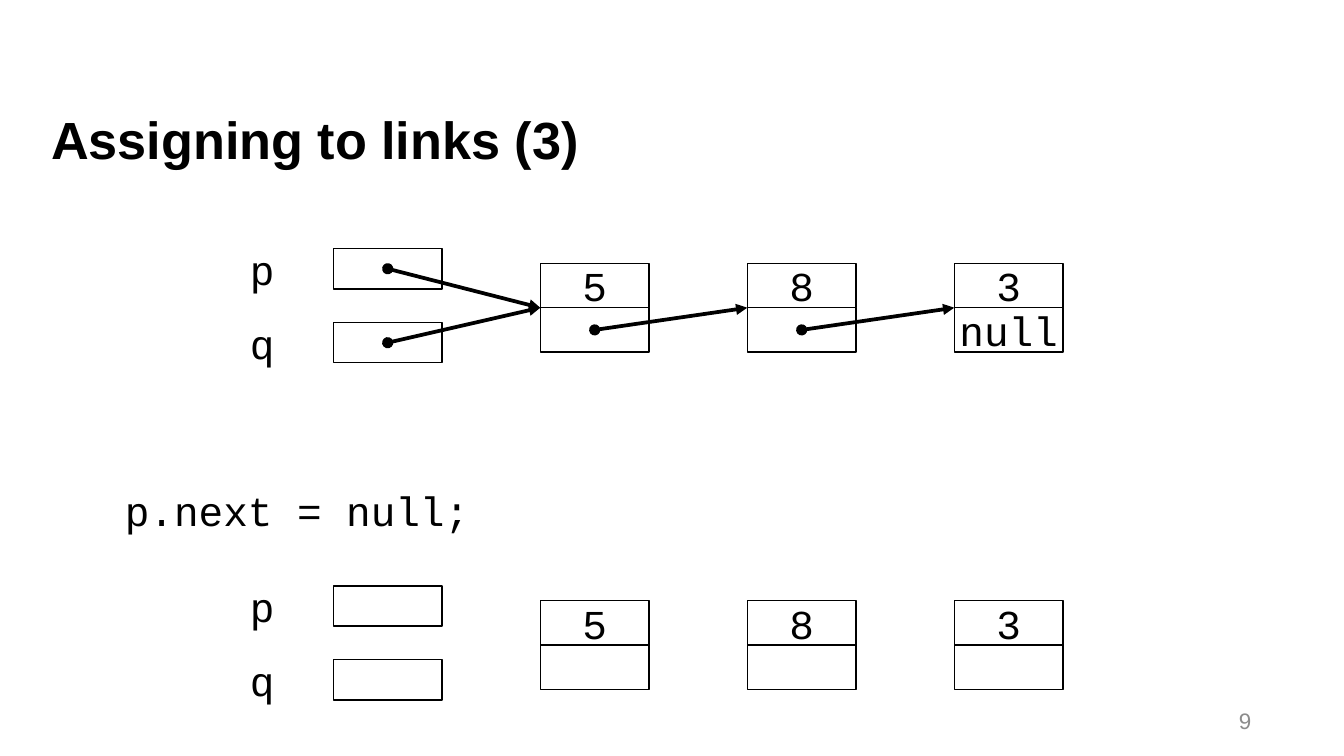
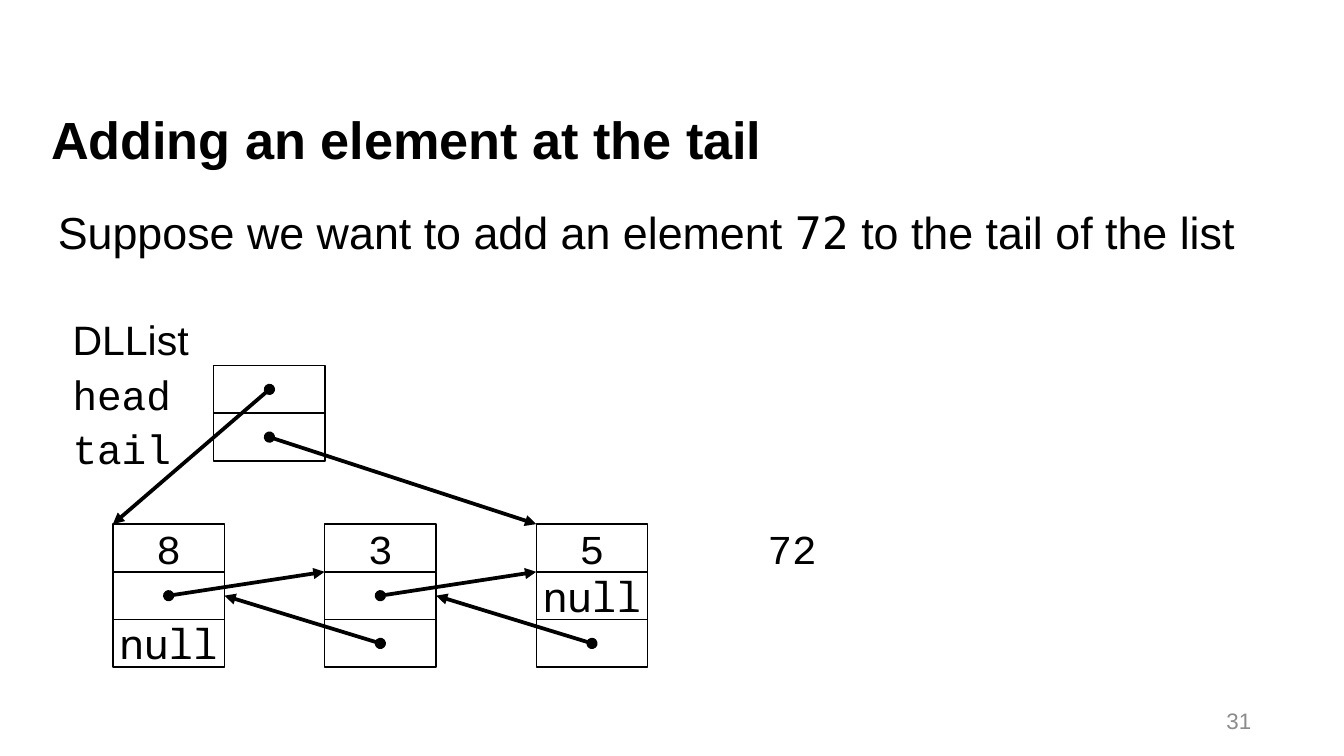
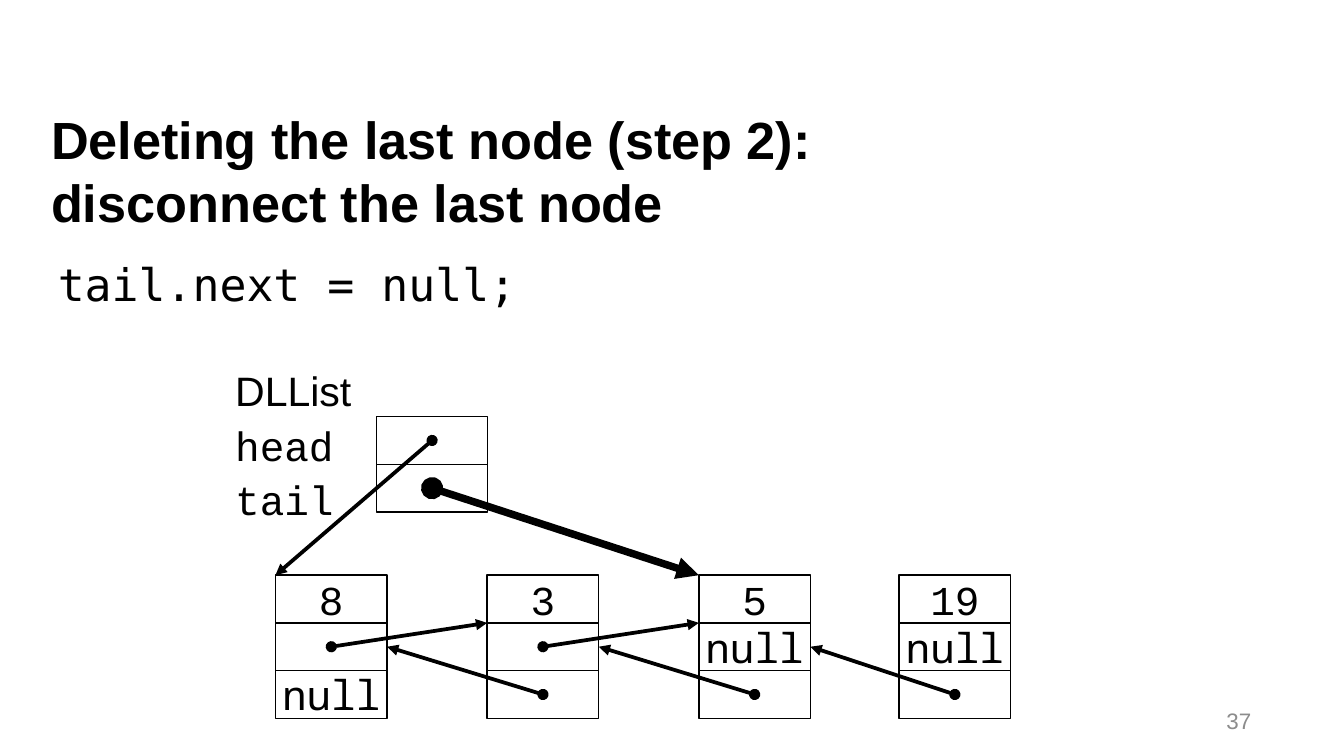
from pptx import Presentation
from pptx import util as u
from pptx.dml.color import RGBColor
from pptx.enum import shapes, text
from pptx.oxml.ns import qn
from lxml import etree

BLACK = RGBColor(0, 0, 0)
GREY = RGBColor(0x8C, 0x8C, 0x8C)
SANS, CODE, MONO, NULL_FONT = "Arial", "Courier New", "DejaVu Sans Mono", "Noto Sans Mono"
LEFT, CENTER, RIGHT = text.PP_ALIGN.LEFT, text.PP_ALIGN.CENTER, text.PP_ALIGN.RIGHT
TOP, MIDDLE = text.MSO_ANCHOR.TOP, text.MSO_ANCHOR.MIDDLE

ASSIGN = dict(
    title="Assigning to links (3)", number=9, code="p.next = null;",
    variables=["p", "q"],
    states=[(1.96, [("5", ""), ("8", ""), ("3", "null")], True),
            (4.47, [("5", ""), ("8", ""), ("3", "")], False)])
ADD_TAIL = dict(
    title="Adding an element at the tail", number=31, body_top=1.52,
    body=[("Suppose we want to add an element ", SANS), ("72", MONO),
          (" to the tail of the list", SANS)],
    origin=(0.84, 3.9), loose=["72"], tail_width=2)
DELETE_LAST = dict(
    title="Deleting the last node (step 2):\ndisconnect the last node", number=37,
    body_top=1.91, body=[("tail.next = null;", MONO)],
    origin=(2.05, 4.28), loose=["19", "null", ""], tail_width=4)
LINKED = [["8", "", "null"], ["3", "", ""], ["5", "null", ""]]
FIELDS = [("DLList", SANS), ("head", CODE), ("tail", CODE)]


def style(p, size, font=None, color=BLACK, bold=False, align=LEFT, before=0):
    p.font.size, p.font.bold = u.Pt(size), bold
    p.font.color.rgb = color
    if font:
        p.font.name = font
    p.alignment = align
    p.space_before = u.Pt(before)


def frame(sp, anchor=TOP):
    tf = sp.text_frame
    tf.word_wrap = True
    tf.vertical_anchor = anchor
    tf.margin_left = tf.margin_top = tf.margin_right = tf.margin_bottom = 0
    return tf


def label(s, x, y, w, h, words, size=22, font=CODE, anchor=TOP, **look):
    sp = s.shapes.add_textbox(*map(u.Inches, (x, y, w, h)))
    p = frame(sp, anchor).paragraphs[0]
    p.text = words
    style(p, size, font, **look)


def cell(s, x, y, w, h, words="", font=CODE):
    sp = s.shapes.add_shape(shapes.MSO_SHAPE.RECTANGLE, *map(u.Inches, (x, y, w, h)))
    sp.shadow.inherit = False
    sp.fill.background()
    sp.line.color.rgb = BLACK
    sp.line.width = 0
    if words:
        p = frame(sp, MIDDLE).paragraphs[0]
        p.text = words
        style(p, 22, font, align=CENTER, before=2.8)


def arrow(s, start, end, width=2):
    c = s.shapes.add_connector(shapes.MSO_CONNECTOR.STRAIGHT, *map(u.Inches, start + end))
    c.line.color.rgb = BLACK
    c.line.width = u.Pt(width)
    ln = c.line._get_or_add_ln()
    for tag, kind in (("a:headEnd", "oval"), ("a:tailEnd", "triangle")):
        etree.SubElement(ln, qn(tag)).set("type", kind)
    etree.SubElement(c._element.spPr, qn("a:effectLst"))


def new_slide(prs, title, number):
    s = prs.slides.add_slide(prs.slide_layouts[6])
    label(s, 0.38, 0.8, 9.21, 0.71, title, 28, SANS, bold=True)
    label(s, 7.16, 5.21, 2.15, 0.3, str(number), 12, SANS, MIDDLE, color=GREY, align=RIGHT)
    return s


def assign_slide(prs, d):
    s = new_slide(prs, d["title"], d["number"])
    w, h, var_h, step, left = 0.81, 0.33, 0.3, 1.54, 2.48
    label(s, 0.93, 3.61, 2.84, 0.35, d["code"], before=2.8)
    for y, nodes, linked in d["states"]:
        xs = [left + step * (i + 1) for i in range(len(nodes))]
        for i, name in enumerate(d["variables"]):
            var_y = y - 0.11 + 0.55 * i
            label(s, 1.86, var_y - 0.03, 0.5, 0.35, name, before=2.8)
            cell(s, left, var_y, w, var_h)
            if linked:
                arrow(s, (left + w / 2, var_y + var_h / 2), (xs[0], y + h))
        for x, node in zip(xs, nodes):
            for row, words in enumerate(node):
                cell(s, x, y + row * h, w, h, words)
        if linked:
            for a, b in zip(xs, xs[1:]):
                arrow(s, (a + w / 2, y + 1.5 * h), (b, y + h))


def list_slide(prs, d):
    s = new_slide(prs, d["title"], d["number"])
    sp = s.shapes.add_textbox(*map(u.Inches, (0.43, d["body_top"], 9.21, 0.5)))
    p = frame(sp).paragraphs[0]
    style(p, 24)
    for words, font in d["body"]:
        r = p.add_run()
        r.text, r.font.name = words, font

    x, y = d["origin"]
    w, h, step = 0.83, 0.71 / 2, 3.15 / 2
    xs = [x + step * i for i in range(len(LINKED))]
    loose_x = x + 4.64
    whole = len(d["loose"]) > 1
    nodes = list(zip(xs, LINKED)) + ([(loose_x, d["loose"])] if whole else [])
    for node_x, node in nodes:
        for row, words in enumerate(node):
            cell(s, node_x, y + row * h, w, h, words, NULL_FONT if words == "null" else CODE)
    if not whole:
        label(s, loose_x, y, w, h, d["loose"][0], anchor=MIDDLE, align=CENTER, before=2.8)

    sp = s.shapes.add_textbox(*map(u.Inches, (x - 0.3, y - 1.56, 1.08, 1.11)))
    tf = frame(sp)
    for i, (words, font) in enumerate(FIELDS):
        p = tf.add_paragraph() if i else tf.paragraphs[0]
        p.text = words
        style(p, 22, font, before=2.8)
    box_x, box_y = x + 0.75, y - 1.18
    for row, (target, width) in enumerate([(xs[0], 2), (xs[-1], d["tail_width"])]):
        cell(s, box_x, box_y + row * h, w, h)
        arrow(s, (box_x + w / 2, box_y + (row + 0.5) * h), (target, y), width)

    for a, b in zip(xs, xs[1:]):
        arrow(s, (a + w / 2, y + 1.5 * h), (b, y + h))
    columns = [node_x for node_x, _ in nodes]
    for a, b in zip(columns, columns[1:]):
        arrow(s, (b + w / 2, y + 2.5 * h), (a + w, y + 1.5 * h))


def main():
    prs = Presentation()
    prs.slide_width = u.Inches(10)
    prs.slide_height = prs.slide_width * 9 // 16
    assign_slide(prs, ASSIGN)
    list_slide(prs, ADD_TAIL)
    list_slide(prs, DELETE_LAST)
    prs.save("out.pptx")


if __name__ == "__main__":
    main()
